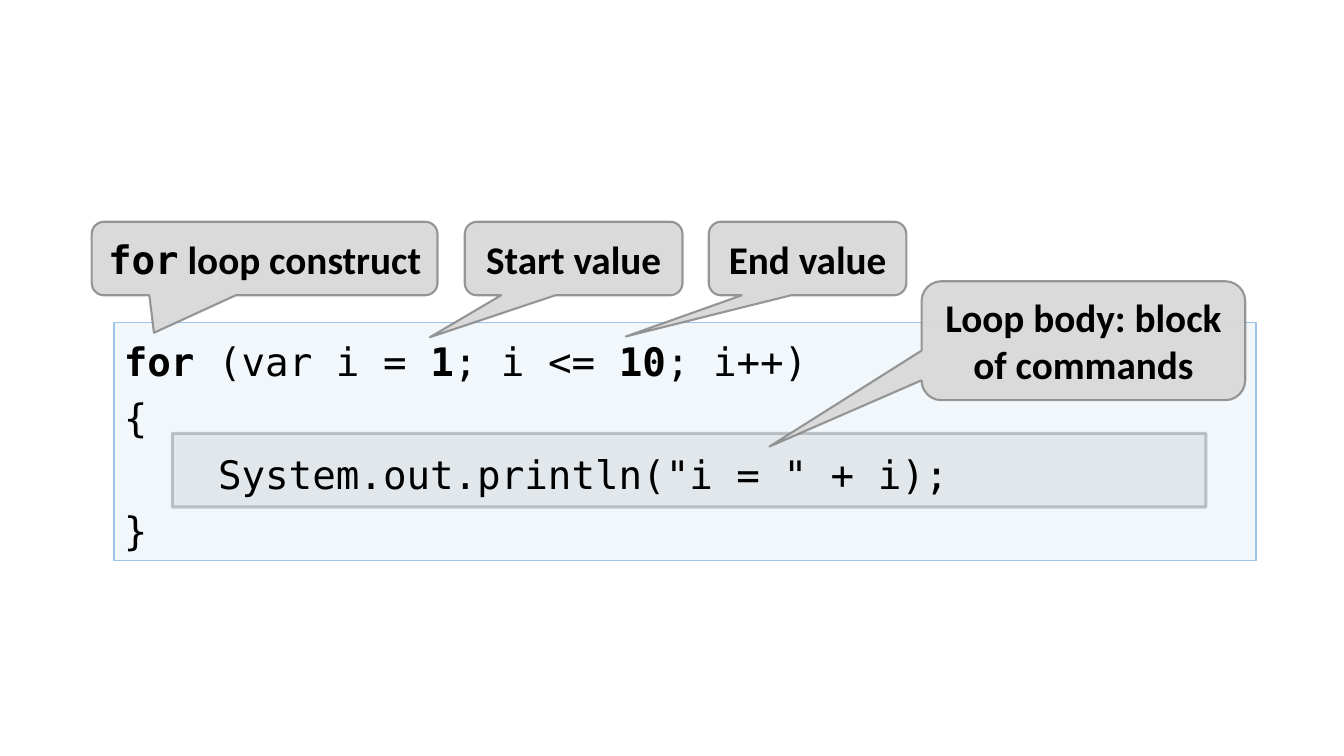
from collections import namedtuple

from lxml.etree import SubElement
from pptx import Presentation
from pptx.dml.color import RGBColor
from pptx.enum.shapes import MSO_SHAPE as Shape
from pptx.enum.text import MSO_ANCHOR as Anchor, PP_ALIGN as Align
from pptx.oxml.ns import qn
from pptx.util import Inches, Pt

BLACK = RGBColor(0x00, 0x00, 0x00)
GREY = RGBColor(0x80, 0x80, 0x80)
LIGHT_GREY = RGBColor(0xD9, 0xD9, 0xD9)
BLUE = RGBColor(0x9D, 0xC3, 0xE6)
PALE_BLUE = RGBColor(0xBD, 0xD7, 0xEE)

MONO, SANS = "DejaVu Sans Mono", "Calibri"
TEXT_SIZE = Pt(28)

# The page grid has square cells one inch wide
CELL = Inches(1)
COLUMNS, ROWS = 13.33, 7.5
ROW_HEIGHT = 0.73

Box = namedtuple("Box", "left top width height")
Paint = namedtuple("Paint", "color opacity")

# Code lines as runs of (text, bold)
CODE = [
    [("for", True), (" (var i = ", False), ("1", True), ("; i <= ", False),
     ("10", True), ("; i++)", False)],
    [("{", False)],
    [('    System.out.println("i = " + i);', False)],
    [("}", False)],
]

# Callouts: place within the label area, tail tip, runs of (text, font)
CALLOUTS = [
    (Box(0, 0, 3.43, ROW_HEIGHT), (-0.32, 1.01),
     [("for", MONO), (" loop construct", SANS)]),
    (Box(3.7, 0, 2.16, ROW_HEIGHT), (-0.66, 1.07), [("Start value", SANS)]),
    (Box(6.12, 0, 1.96, ROW_HEIGHT), (-0.92, 1.06), [("End value", SANS)]),
    (Box(8.23, 0.59, 3.21, 1.18), (-0.97, 0.89),
     [("Loop body: block of commands", SANS)]),
]


def inside(outer, part):
    """Move a part given relative to the outer box onto the page grid."""
    return Box(outer.left + part.left, outer.top + part.top, part.width, part.height)


def apply_paint(fill, paint):
    fill.solid()
    fill.fore_color.rgb = paint.color
    color = fill._xPr.find(qn("a:solidFill"))[0]
    SubElement(color, qn("a:alpha"), val=str(paint.opacity * 1000))


def add_panel(page, kind, box, fill, line, weight):
    panel = page.shapes.add_shape(kind, *(round(length * CELL) for length in box))
    panel.shadow.inherit = False
    apply_paint(panel.fill, fill)
    apply_paint(panel.line.fill, line)
    panel.line.width = Pt(weight)
    panel.text_frame.word_wrap = True
    return panel


def add_run(para, text, font, bold):
    run = para.add_run()
    run.text = text
    run.font.name = font
    run.font.size = TEXT_SIZE
    run.font.bold = bold
    run.font.color.rgb = BLACK


def add_code_block(page, box):
    # Band behind the loop body
    band = inside(box, Box(0.58, 1.1, 10.25, ROW_HEIGHT))
    add_panel(page, Shape.RECTANGLE, band, Paint(LIGHT_GREY, 50), Paint(GREY, 50), 2.25)

    # Code listing
    listing = add_panel(page, Shape.RECTANGLE, box, Paint(PALE_BLUE, 20),
                        Paint(BLUE, 100), 1)
    frame = listing.text_frame
    frame.vertical_anchor = Anchor.TOP
    for index, runs in enumerate(CODE):
        para = frame.add_paragraph() if index else frame.paragraphs[0]
        para.alignment = Align.LEFT
        para.line_spacing = 1.2
        for text, bold in runs:
            add_run(para, text, MONO, bold)


def add_callouts(page, box):
    for part, tip, runs in CALLOUTS:
        callout = add_panel(page, Shape.ROUNDED_RECTANGULAR_CALLOUT, inside(box, part),
                            Paint(LIGHT_GREY, 95), Paint(GREY, 80), 1.5)
        callout.adjustments[0], callout.adjustments[1] = tip
        callout.text_frame.vertical_anchor = Anchor.MIDDLE
        para = callout.text_frame.paragraphs[0]
        para.alignment = Align.CENTER
        for text, font in runs:
            add_run(para, text, font, True)


def main():
    deck = Presentation()
    deck.slide_width = round(COLUMNS * CELL)
    deck.slide_height = round(ROWS * CELL)
    page = deck.slides.add_slide(deck.slide_layouts[6])
    add_code_block(page, Box(1.13, 3.2, 11.33, 2.36))
    add_callouts(page, Box(0.91, 2.2, 11.44, 1.77))
    deck.save("out.pptx")


if __name__ == "__main__":
    main()
